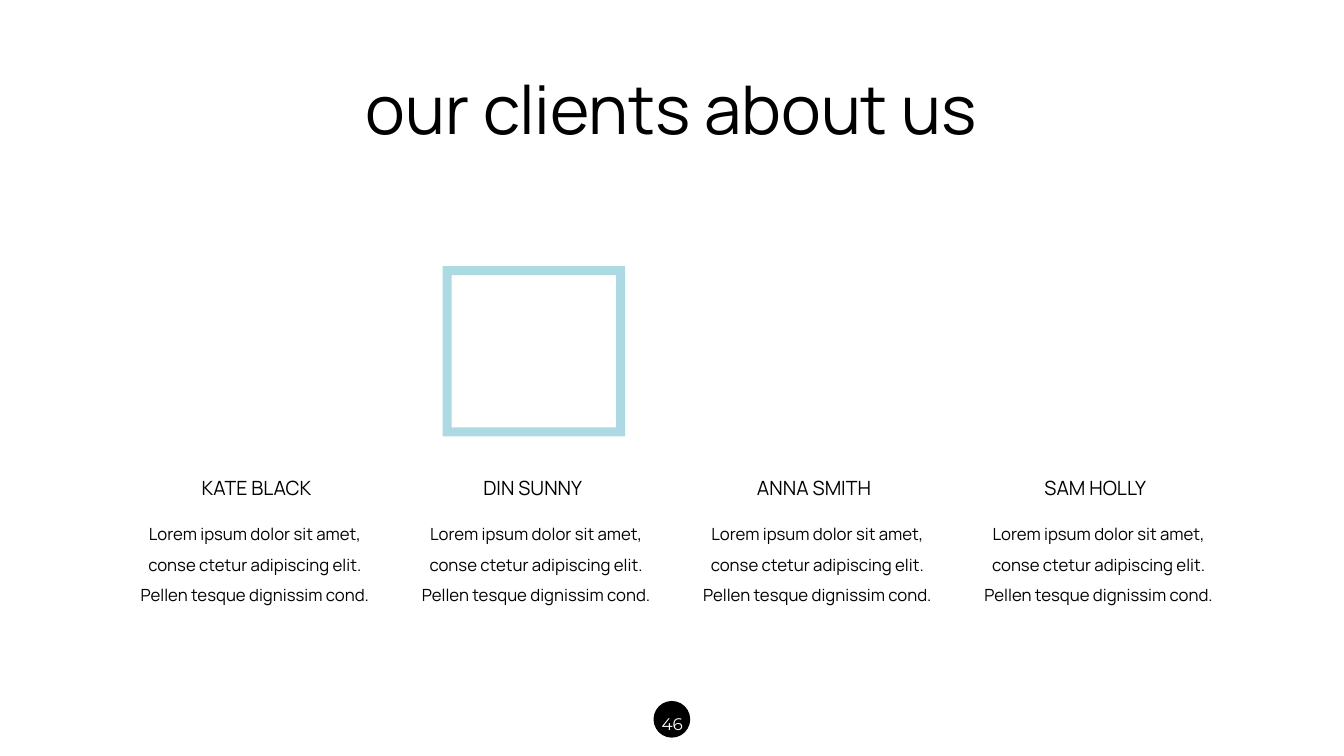
from pptx import Presentation
from pptx.dml.color import RGBColor
from pptx.enum.shapes import MSO_SHAPE
from pptx.enum.text import MSO_AUTO_SIZE, PP_ALIGN
from pptx.util import Pt

BLACK = RGBColor(0x00, 0x00, 0x00)
WHITE = RGBColor(0xFF, 0xFF, 0xFF)
PALE_BLUE = RGBColor(0xAC, 0xD9, 0xE2)
CENTER = PP_ALIGN.CENTER
GROW = MSO_AUTO_SIZE.SHAPE_TO_FIT_TEXT
ELLIPSE = MSO_SHAPE.OVAL
FRAME = MSO_SHAPE.FRAME

REVIEW = ("Lorem ipsum dolor sit amet, conse ctetur adipiscing elit. "
          "Pellen tesque dignissim cond.")
CLIENTS = [("KATE BLACK", 38.9), ("DIN SUNNY", 35.3),
           ("ANNA SMITH", 35.3), ("SAM HOLLY", 35.3)]
COLUMN_PITCH = 200.9


def add_text(slide, box, wording, size, font="Manrope", color=BLACK, spacing=None):
    """Place one centred paragraph in the box (left, top, width, height)."""
    holder = slide.shapes.add_textbox(*map(Pt, box))
    frame = holder.text_frame
    frame.word_wrap = True
    frame.auto_size = GROW
    paragraph = frame.paragraphs[0]
    paragraph.alignment = CENTER
    if spacing:
        paragraph.line_spacing = spacing
    run = paragraph.add_run()
    run.text = wording
    run.font.size = Pt(size)
    run.font.name = font
    run.font.color.rgb = color


def add_filled(slide, kind, box, color):
    """Draw a plain filled preset shape in the box."""
    shape = slide.shapes.add_shape(kind, *map(Pt, box))
    shape.shadow.inherit = False
    shape.fill.solid()
    shape.fill.fore_color.rgb = color
    shape.line.fill.background()
    return shape


def add_page_number(slide, box, number):
    """Draw the round page badge with its number."""
    left, top, width, height = box
    badge = add_filled(slide, ELLIPSE, (left + 5.1, top + 2.2, 25.2, 25.2), BLACK)
    badge.line.color.rgb = BLACK
    badge.line.width = Pt(1)
    add_text(slide, box, number, 12, "Montserrat", WHITE, 1.5)


def add_portrait_frame(slide, box):
    """Draw the blue frame around a client's portrait space."""
    portrait = add_filled(slide, FRAME, box, PALE_BLUE)
    portrait.adjustments[0] = 0.053


def add_client(slide, box, name, name_indent):
    """Place a client's name above the review in a column box."""
    left, top, width, height = box
    add_text(slide, (left + name_indent, top, 107.3, 24.5), name, 14)
    add_text(slide, (left, top + 27.4, width, height - 27.4), REVIEW, 12, spacing=1.5)


def main():
    """Build the client review slide and save it."""
    deck = Presentation()
    deck.slide_width, deck.slide_height = Pt(960), Pt(540)
    slide = deck.slides.add_slide(deck.slide_layouts[6])
    add_page_number(slide, (462.2, 499, 36, 26.6), "46")
    add_text(slide, (231.8, 44.6, 495.4, 65.5), "our clients about us", 48)
    add_portrait_frame(slide, (316.2, 190.1, 130.3, 121.7))
    for column, (name, name_indent) in enumerate(CLIENTS):
        left = 90.7 + column * COLUMN_PITCH
        add_client(slide, (left, 336.2, 182.9, 100.1), name, name_indent)
    deck.save("out.pptx")


if __name__ == "__main__":
    main()
